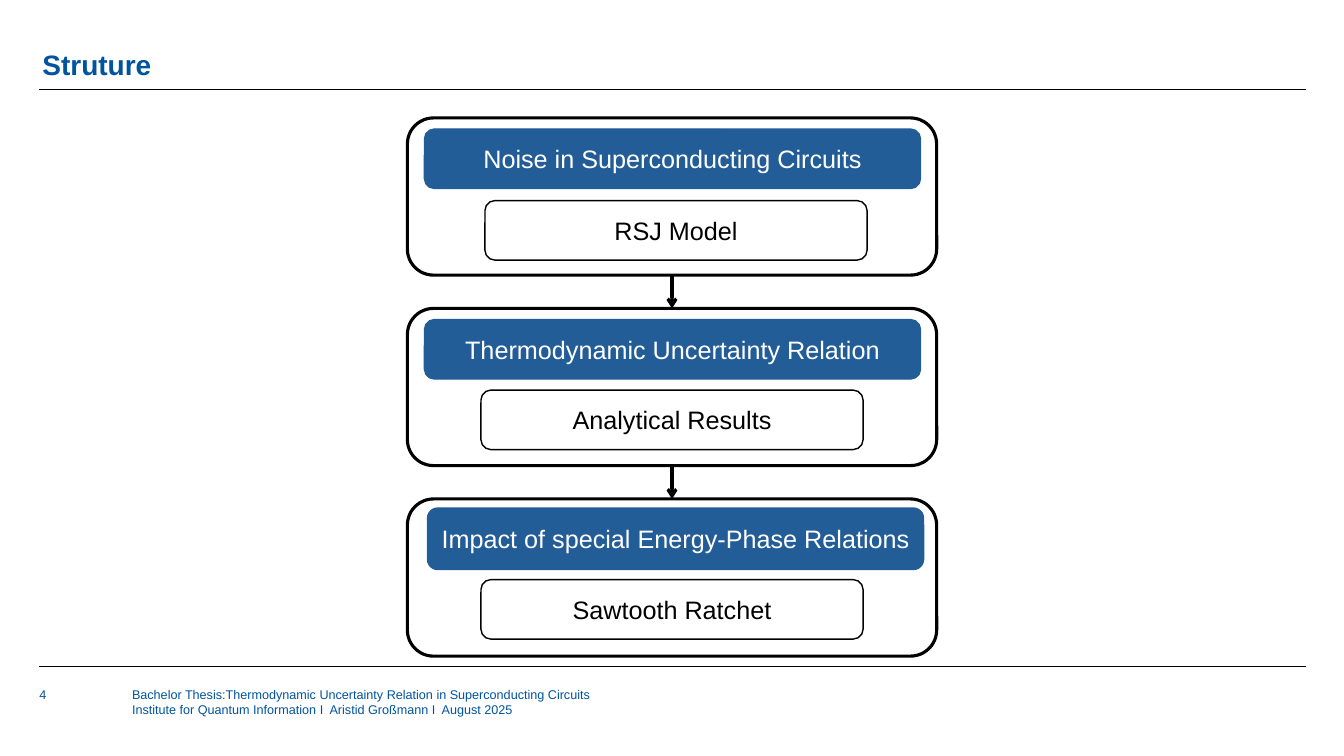
from lxml.etree import SubElement
from pptx import Presentation
from pptx.dml.color import RGBColor
from pptx.enum.shapes import MSO_CONNECTOR, MSO_SHAPE
from pptx.enum.text import MSO_ANCHOR, PP_ALIGN
from pptx.oxml.ns import qn
from pptx.util import Inches, Pt

BLUE = RGBColor(0x00, 0x54, 0x9F)
HEADING_BLUE = RGBColor(0x23, 0x5D, 0x97)
BLACK = RGBColor(0, 0, 0)
WHITE = RGBColor(0xFF, 0xFF, 0xFF)

RULE_LEFT, RULE_RIGHT = 0.39, 12.95
STAGE_LEFT, STAGE_TOP, STAGE_PITCH = 4.04, 1.17, 1.89
STAGE_WIDTH, STAGE_HEIGHT = 5.25, 1.56
HEADING_WIDTH, DETAIL_WIDTH, DETAIL_HEIGHT = 4.92, 3.79, 0.59

# heading, its left, top and height in the stage; detail, its left and top
STAGES = [
    ("Noise in Superconducting Circuits", (0.17, 0.11, 0.59), "RSJ Model", (0.77, 0.82)),
    ("Thermodynamic Uncertainty Relation", (0.17, 0.11, 0.59), "Analytical Results", (0.73, 0.81)),
    ("Impact of special Energy-Phase Relations", (0.2, 0.09, 0.61), "Sawtooth Ratchet", (0.73, 0.8)),
]
FOOTER = (
    "Bachelor Thesis:Thermodynamic Uncertainty Relation in Superconducting Circuits\n"
    "Institute for Quantum Information I  Aristid Großmann I  August 2025"
)


def write(frame, text, size, color, bold=False, align=PP_ALIGN.LEFT):
    frame.word_wrap = True
    frame.text = text
    for paragraph in frame.paragraphs:
        paragraph.alignment = align
        for run in paragraph.runs:
            run.font.name = "Arial"
            run.font.size = Pt(size)
            run.font.bold = bold
            run.font.color.rgb = color


def add_label(slide, box, text, size, bold=False, anchor=MSO_ANCHOR.TOP):
    frame = slide.shapes.add_textbox(*map(Inches, box)).text_frame
    frame.margin_left = frame.margin_right = frame.margin_top = frame.margin_bottom = 0
    frame.vertical_anchor = anchor
    write(frame, text, size, BLUE, bold)
    return frame


def add_rounded(slide, box, line_color, line_width, fill=None, text=None, text_color=BLACK):
    rounded = slide.shapes.add_shape(MSO_SHAPE.ROUNDED_RECTANGLE, *map(Inches, box))
    rounded.shadow.inherit = False
    if fill is None:
        rounded.fill.background()
    else:
        rounded.fill.solid()
        rounded.fill.fore_color.rgb = fill
    rounded.line.color.rgb = line_color
    rounded.line.width = Pt(line_width)
    if text:
        rounded.text_frame.vertical_anchor = MSO_ANCHOR.MIDDLE
        write(rounded.text_frame, text, 18, text_color, align=PP_ALIGN.CENTER)
    return rounded


def add_line(slide, start, end, width):
    line = slide.shapes.add_connector(MSO_CONNECTOR.STRAIGHT, *map(Inches, start + end))
    line.line.color.rgb = BLACK
    line.line.width = Pt(width)
    SubElement(line._element.spPr, qn("a:effectLst"))
    return line


def add_arrow(slide, upper, lower):
    """Join the bottom of one stage to the top of the next."""
    arrow = add_line(slide, (0, 0), (0, 0), 2.25)
    arrow.begin_connect(upper, 2)
    arrow.end_connect(lower, 0)
    SubElement(arrow.line._get_or_add_ln(), qn("a:tailEnd"), type="arrow")


def add_stage(slide, left, top, heading, heading_place, detail, detail_place):
    """Draw a framed heading with its detail and return the frame."""
    dx, dy, height = heading_place
    add_rounded(slide, (left + dx, top + dy, HEADING_WIDTH, height),
                HEADING_BLUE, 1, HEADING_BLUE, heading, WHITE)
    dx, dy = detail_place
    add_rounded(slide, (left + dx, top + dy, DETAIL_WIDTH, DETAIL_HEIGHT),
                BLACK, 1, text=detail)
    return add_rounded(slide, (left, top, STAGE_WIDTH, STAGE_HEIGHT), BLACK, 2.25)


def add_page_furniture(slide):
    for y in (0.89, 6.61):
        add_line(slide, (RULE_LEFT, y), (RULE_RIGHT, y), 0.5)
    title = add_label(slide, (0.42, 0.22, 12.56, 0.59), "Struture", 20, True, MSO_ANCHOR.BOTTOM)
    title.paragraphs[0].line_spacing = 0.9
    add_label(slide, (RULE_LEFT, 6.81, 0.8, 0.43), "4", 9)
    add_label(slide, (1.31, 6.81, 7.66, 0.69), FOOTER, 9)


def add_flow(slide, left, top):
    frames = [add_stage(slide, left, top + row * STAGE_PITCH, *stage)
              for row, stage in enumerate(STAGES)]
    for upper, lower in zip(frames, frames[1:]):
        add_arrow(slide, upper, lower)


def main():
    deck = Presentation()
    deck.slide_width, deck.slide_height = Inches(13.33), Inches(7.5)
    slide = deck.slides.add_slide(deck.slide_layouts[6])
    add_page_furniture(slide)
    add_flow(slide, STAGE_LEFT, STAGE_TOP)
    deck.save("out.pptx")


if __name__ == "__main__":
    main()
